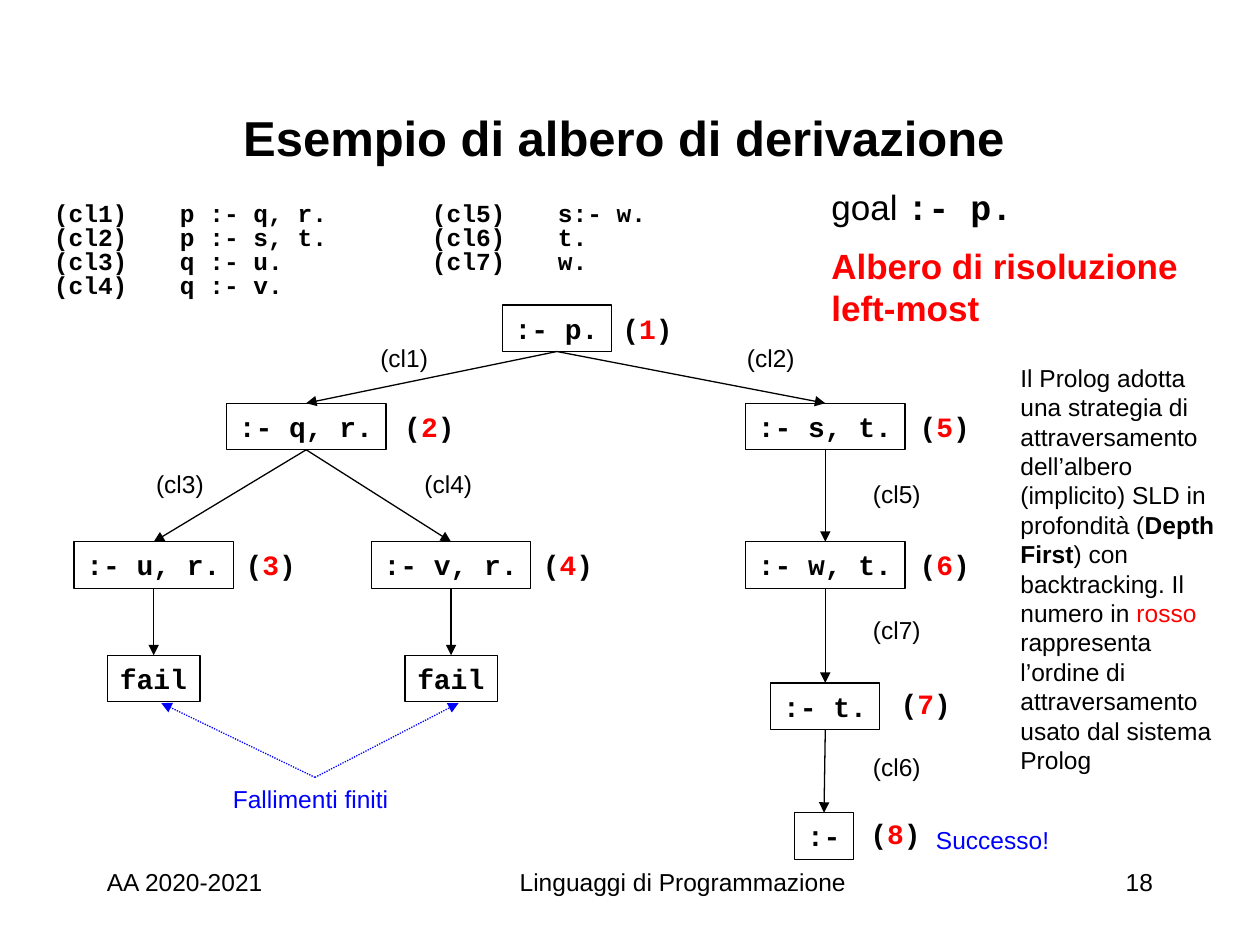
"""Build the slide showing a Prolog derivation tree."""
from lxml import etree
from pptx import Presentation, util as u
from pptx.dml.color import RGBColor
from pptx.enum import dml, shapes, text
from pptx.oxml.ns import qn

THEME = {
    "black": RGBColor(0, 0, 0), "red": RGBColor(255, 0, 0), "blue": RGBColor(0, 0, 255),
    "sans": "Arial", "mono": "Courier New",
    "title": 28, "lead": 20, "code": 16, "body": 14, "line": 0.75,
}
TITLE = "Esempio di albero di derivazione"
CLAUSES = [
    ("(cl1)", "p :- q, r.", "(cl5)", "s:- w."),
    ("(cl2)", "p :- s, t.", "(cl6)", "t."),
    ("(cl3)", "q :- u.", "(cl7)", "w."),
    ("(cl4)", "q :- v."),
]
CLAUSE_TABS = (1, 3, 4)
GOAL = [
    [("goal ", {}), (":- p.", {"font": "mono", "bold": True})],
    [("Albero di risoluzione left-most", {"color": "red", "bold": True})],
]
STRATEGY = [[
    ("Il Prolog adotta una strategia di attraversamento dell’albero (implicito) SLD in profondità (", {}),
    ("Depth First", {"bold": True}),
    (") con backtracking. Il numero in ", {}),
    ("rosso ", {"color": "red"}),
    ("rappresenta l’ordine di attraversamento usato dal sistema Prolog", {}),
]]
FOOTERS = [
    ("AA 2020-2021", 0.75, 2.5, "LEFT"),
    ("Linguaggi di Programmazione", 3.17, 4.5, "CENTER"),
    ("18", 7.25, 2, "RIGHT"),
]
NODES = {
    "p": (":- p.", 4.42, 2.42), "qr": (":- q, r.", 2.43, 3.2), "ur": (":- u, r.", 1.22, 4.3),
    "vr": (":- v, r.", 3.58, 4.3), "st": (":- s, t.", 6.55, 3.2), "wt": (":- w, t.", 6.55, 4.3),
    "t": (":- t.", 6.55, 5.42), "empty": (":-", 6.54, 6.45),
    "fail left": ("fail", 1.22, 5.2), "fail right": ("fail", 3.58, 5.2),
}
EDGES = [
    ("p", "qr"), ("p", "st"), ("qr", "ur"), ("qr", "vr"), ("ur", "fail left"),
    ("vr", "fail right"), ("st", "wt"), ("wt", "t"), ("t", "empty"),
]
VISITS = [(4.84, 2.42), (3.11, 3.2), (1.85, 4.3), (4.21, 4.3),
          (7.2, 3.2), (7.2, 4.3), (7.05, 5.4), (6.81, 6.43)]
LABELS = [
    ("(cl1)", 2.92, 2.67, 0.58, "black"), ("(cl2)", 5.83, 2.67, 0.58, "black"),
    ("(cl3)", 1.14, 3.67, 0.58, "black"), ("(cl4)", 3.27, 3.67, 0.58, "black"),
    ("(cl5)", 6.83, 3.75, 0.58, "black"), ("(cl7)", 6.83, 4.83, 0.58, "black"),
    ("(cl6)", 6.83, 5.92, 0.58, "black"),
    ("Successo!", 7.33, 6.5, 1.1, "blue"), ("Fallimenti finiti", 1.75, 6.17, 1.43, "blue"),
]
FAILURE_START = (2.5, 6.17)
FAILURE_ENDS = [(1.28, 5.58), (3.64, 5.58)]
NODE_HEIGHT = 0.37


def write(shape, paragraphs, size="body", font="sans", color="black", bold=False,
          align="LEFT", anchor="TOP", wrap=False, spacing=None, before=0):
    """Fill a shape with paragraphs, each a string or a list of (text, format) runs."""
    frame = shape.text_frame
    frame.word_wrap = wrap
    frame.auto_size = text.MSO_AUTO_SIZE.NONE
    frame.vertical_anchor = getattr(text.MSO_ANCHOR, anchor)
    for index, content in enumerate(paragraphs):
        paragraph = frame.add_paragraph() if index else frame.paragraphs[0]
        paragraph.alignment = getattr(text.PP_ALIGN, align)
        paragraph.space_before = u.Pt(before if index else 0)
        if spacing and index >= (len(paragraphs) > 1):
            paragraph.line_spacing = u.Pt(spacing)
        for words, changes in [(content, {})] if isinstance(content, str) else content:
            style = {"font": font, "color": color, "bold": bold, **changes}
            run = paragraph.add_run()
            run.text = words
            run.font.size = u.Pt(THEME[size])
            run.font.name = THEME[style["font"]]
            run.font.bold = style["bold"]
            run.font.color.rgb = THEME[style["color"]]
    return frame


def add_text(slide, box, paragraphs, **style):
    """Add a text box at left, top, width, height in inches."""
    return write(slide.shapes.add_textbox(*map(u.Inches, box)), paragraphs, **style)


def add_node(slide, label, center, top):
    """Add an outlined goal box sized to its monospaced label."""
    width = 0.2 + len(label) * 0.6 * THEME["code"] / 72
    box = map(u.Inches, (center - width / 2, top, width, NODE_HEIGHT))
    node = slide.shapes.add_shape(shapes.MSO_SHAPE.RECTANGLE, *box)
    node.shadow.inherit = False
    node.fill.background()
    node.line.color.rgb = THEME["black"]
    node.line.width = u.Pt(THEME["line"])
    write(node, [label], size="code", font="mono", bold=True)


def add_arrow(slide, start, end, color="black", dash=None):
    """Add a straight arrow between two points in inches."""
    arrow = slide.shapes.add_connector(shapes.MSO_CONNECTOR.STRAIGHT, *map(u.Inches, start + end))
    arrow.line.color.rgb = THEME[color]
    arrow.line.width = u.Pt(THEME["line"])
    if dash:
        arrow.line.dash_style = dash
    properties = arrow.element.spPr
    etree.SubElement(properties.find(qn("a:ln")), qn("a:tailEnd"), type="triangle")
    etree.SubElement(properties, qn("a:effectLst"))


def add_clauses(slide):
    """Add the program clauses, aligned in columns by tab stops."""
    frame = add_text(slide, (0.33, 1.52, 5.33, 0.94), ["\t".join(row) for row in CLAUSES],
                     font="mono", bold=True, wrap=True, spacing=13.7)
    for paragraph in frame.paragraphs:
        stops = etree.SubElement(paragraph._p.get_or_add_pPr(), qn("a:tabLst"))
        for stop in CLAUSE_TABS:
            etree.SubElement(stops, qn("a:tab"), pos=str(u.Inches(stop)), algn="l")


def add_tree(slide):
    """Add goals, arrows, visit numbers and labels."""
    for node in NODES.values():
        add_node(slide, *node)
    for parent, child in EDGES:
        (_, x1, y1), (_, x2, y2) = NODES[parent], NODES[child]
        add_arrow(slide, (x1, y1 + NODE_HEIGHT), (x2, y2))
    for end in FAILURE_ENDS:
        add_arrow(slide, FAILURE_START, end, "blue", dml.MSO_LINE.ROUND_DOT)
    for number, (left, top) in enumerate(VISITS, 1):
        runs = [("(", {}), (str(number), {"color": "red"}), (")", {})]
        add_text(slide, (left, top, 0.61, NODE_HEIGHT), [runs], size="code", font="mono", bold=True)
    for label, left, top, width, color in LABELS:
        add_text(slide, (left, top, width, 0.33), [label], color=color)


def main():
    """Create and save the presentation."""
    presentation = Presentation()
    presentation.slide_width, presentation.slide_height = u.Inches(10), u.Inches(7.5)
    slide = presentation.slides.add_slide(presentation.slide_layouts[5])
    title = slide.shapes.title
    title.left, title.top, title.width, title.height = map(u.Inches, (1.83, 0.67, 7.42, 0.83))
    write(title, [TITLE], size="title", bold=True, anchor="MIDDLE", wrap=True)
    add_clauses(slide)
    add_text(slide, (6.5, 1.42, 3.17, 1.28), GOAL, size="lead", wrap=True, spacing=24, before=10)
    add_text(slide, (8, 2.83, 1.75, 3.4), STRATEGY, wrap=True, spacing=16.8)
    add_tree(slide)
    for words, left, width, align in FOOTERS:
        add_text(slide, (left, 6.83, width, 0.5), [words], align=align, wrap=True)
    presentation.save("out.pptx")


if __name__ == "__main__":
    main()
